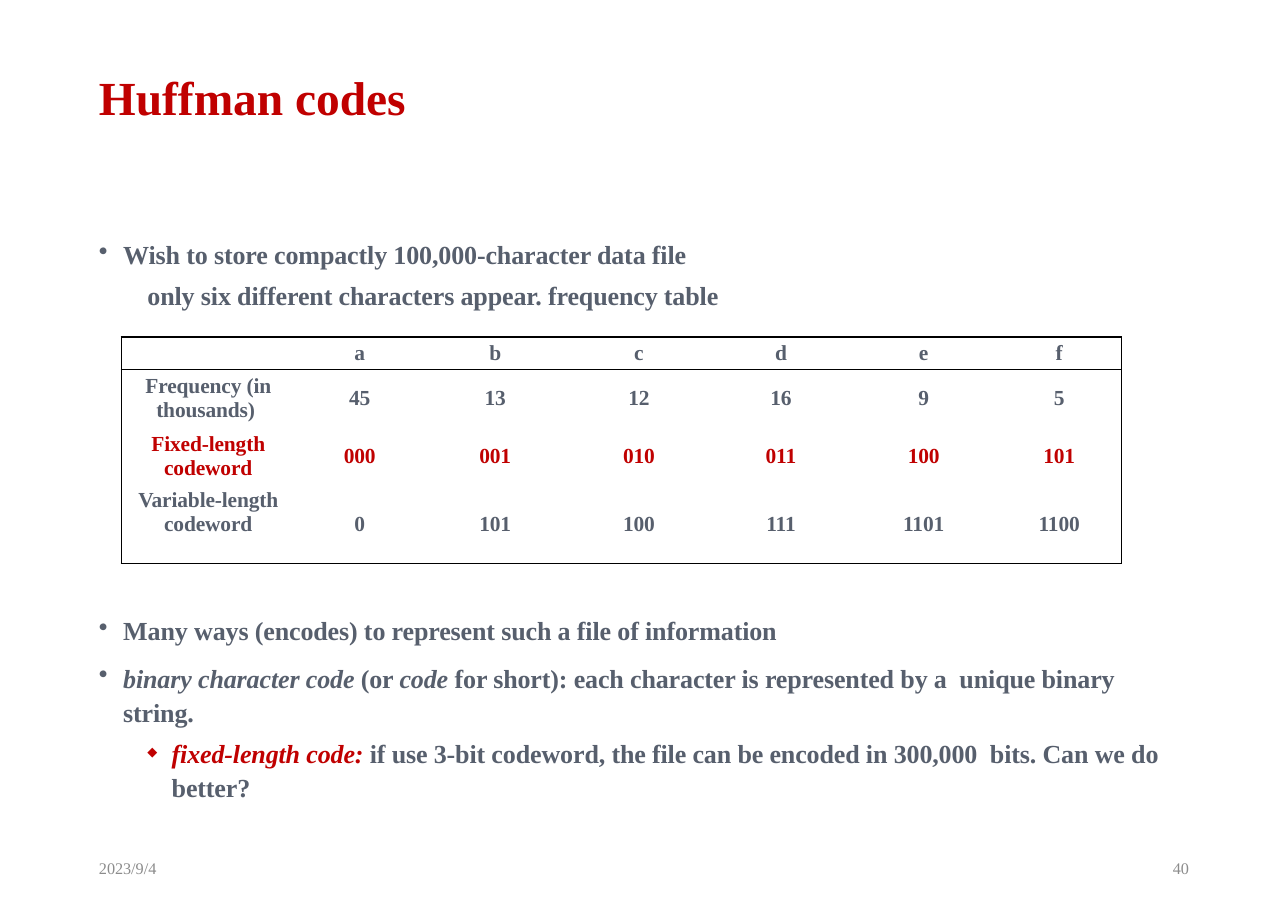
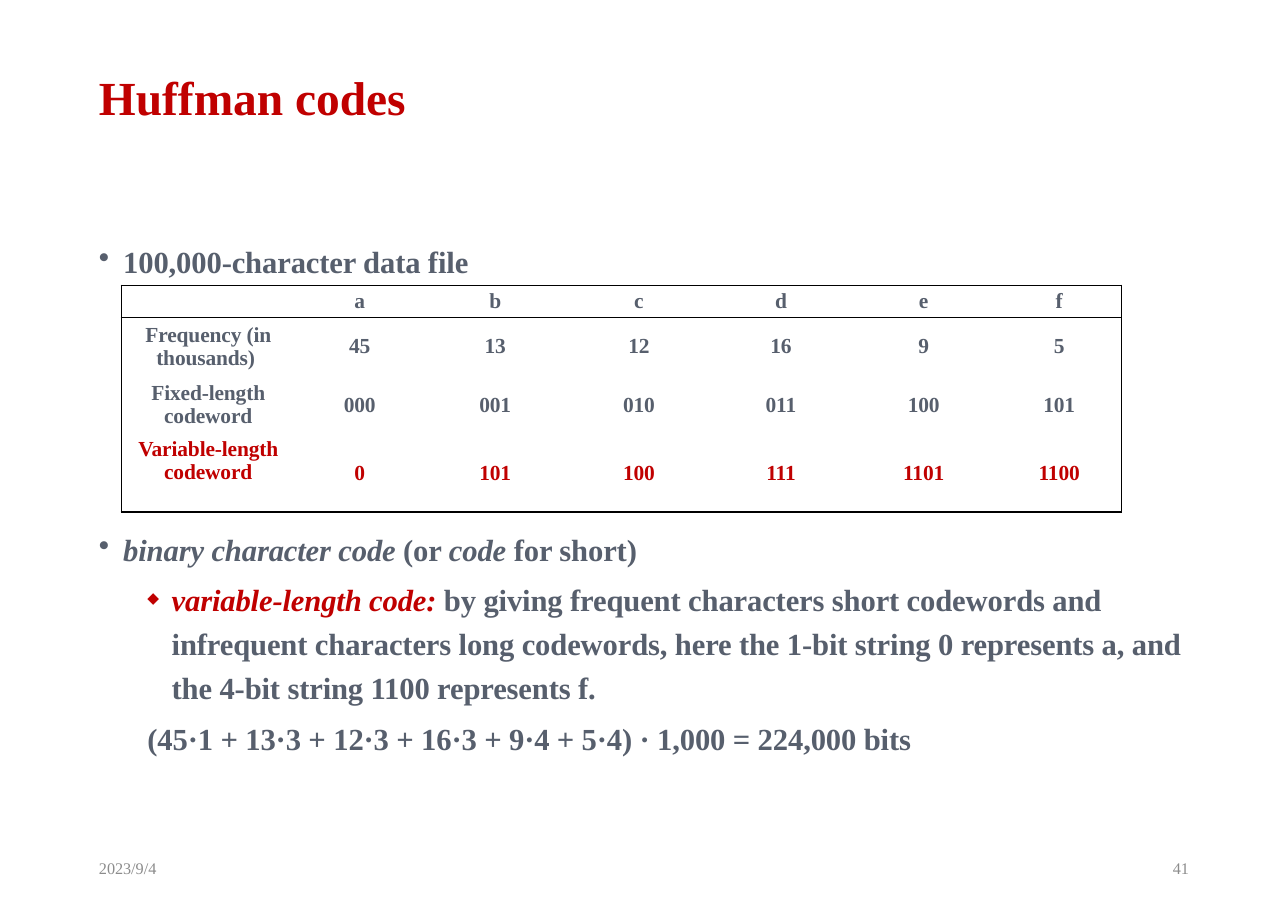
from lxml import etree
from pptx import Presentation
from pptx.dml.color import RGBColor
from pptx.enum.text import MSO_ANCHOR, PP_ALIGN
from pptx.oxml.ns import qn
from pptx.util import Pt

LEFT, CENTER, RIGHT = PP_ALIGN.LEFT, PP_ALIGN.CENTER, PP_ALIGN.RIGHT
TOP, MIDDLE = MSO_ANCHOR.TOP, MSO_ANCHOR.MIDDLE

PX = 9144
FONT = "Times New Roman"
RED, SLATE, GRAY = "C00000", "575F6D", "8C8C8C"
BLACK, WHITE = "000000", "FFFFFF"

# margin, indent, space before, bullet, bullet size in percent
DOT = (22, -22, 8.8, "•", 100)
GEM = (66, -22, 4.4, "◆", 50)
PLAIN = (44, 0, 4.4, None, 0)

COLS = (158, 117, 129, 132, 126, 133, 113)
ROWS = (28, 50, 50, 71)
CODES = (
    ("", "a", "b", "c", "d", "e", "f"),
    ("Frequency (in thousands) ", "45", "13", "12", "16", "9", "5"),
    ("Fixed-length codeword", "000", "001", "010", "011", "100", "101"),
    ("Variable-length codeword", "0", "101", "100", "111", "1101", "1100"),
)


def px(n):
    return round(n * PX)


def rgb(code):
    return RGBColor.from_string(code)


def edge(props, side, shown):
    """Draw or clear one border of a table cell."""
    line = etree.SubElement(props, qn("a:ln" + side), w=str(Pt(1)))
    if shown:
        fill = etree.SubElement(line, qn("a:solidFill"))
        etree.SubElement(fill, qn("a:srgbClr"), val=BLACK)
    else:
        etree.SubElement(line, qn("a:noFill"))


class Deck:
    def __init__(self):
        self.prs = Presentation()
        self.prs.slide_width, self.prs.slide_height = px(1169), px(827)
        self.slide = None

    def page(self, title, number):
        """Start a slide with its title and footer."""
        self.slide = self.prs.slides.add_slide(self.prs.slide_layouts[6])
        self.label(80, 766, 263, 44, "2023/9/4", 10.6, GRAY)
        self.label(826, 766, 263, 44, str(number), 10.6, GRAY, align=RIGHT)
        self.label(80, 26, 1002, 130, title, 31, RED, bold=True, space=0.9)

    def box(self, x, y, w, h, anchor):
        shape = self.slide.shapes.add_textbox(px(x), px(y), px(w), px(h))
        frame = shape.text_frame
        frame.word_wrap = True
        frame.vertical_anchor = anchor
        return frame

    def run(self, para, text, size, color, bold=True, italic=False, track=0):
        run = para.add_run()
        run.text = text
        font = run.font
        font.name, font.size = FONT, Pt(size)
        font.bold, font.italic = bold, italic
        font.color.rgb = rgb(color)
        if track:
            run._r.get_or_add_rPr().set("spc", str(track))

    def label(self, x, y, w, h, text, size, color, bold=False, align=LEFT, space=1.0):
        para = self.box(x, y, w, h, MIDDLE).paragraphs[0]
        para.alignment, para.line_spacing = align, space
        self.run(para, text, size, color, bold)

    def body(self, y, h, size, space, items):
        """Add list items, each a style followed by (text, color, italic) runs."""
        frame = self.box(80, y, 1002, h, TOP)
        for i, (style, *runs) in enumerate(items):
            para = frame.add_paragraph() if i else frame.paragraphs[0]
            margin, indent, before, mark, scale = style
            para.line_spacing, para.space_before = space, Pt(before)
            props = para._p.get_or_add_pPr()
            props.set("marL", str(px(margin)))
            props.set("indent", str(px(indent)))
            if mark:
                etree.SubElement(props, qn("a:buSzPct"), val=str(scale * 1000))
                etree.SubElement(props, qn("a:buChar"), char=mark)
            for text, color, italic in runs:
                self.run(para, text, size, color, italic=italic, track=-10)

    def table(self, y, hot):
        """Add the code table with row number hot in red."""
        shape = self.slide.shapes.add_table(
            len(ROWS), len(COLS), px(110), px(y), px(sum(COLS)), px(sum(ROWS)))
        grid = shape.table
        grid.first_row = grid.horz_banding = False
        for col, width in zip(grid.columns, COLS):
            col.width = px(width)
        for r, height in enumerate(ROWS):
            grid.rows[r].height = px(height)
            for c, text in enumerate(CODES[r]):
                self.cell(grid.cell(r, c), r, c, text, RED if r == hot else SLATE)

    def cell(self, cell, r, c, text, color):
        last = len(ROWS) - 1
        cell.margin_left = cell.margin_right = px(7)
        cell.margin_top = cell.margin_bottom = px(3)
        cell.vertical_anchor = TOP if (r, c) == (last, 0) else MIDDLE
        para = cell.text_frame.paragraphs[0]
        para.alignment = CENTER
        if text:
            self.run(para, text, 14, color, track=-10)
        else:
            etree.SubElement(para._p, qn("a:endParaRPr"), sz="1400")
        props = cell._tc.get_or_add_tcPr()
        edge(props, "L", c == 0)
        edge(props, "R", c == len(COLS) - 1)
        edge(props, "T", r in (0, 1))
        edge(props, "B", r in (0, last))
        cell.fill.solid()
        cell.fill.fore_color.rgb = rgb(WHITE)


def main():
    deck = Deck()
    term = (("binary character code ", SLATE, True), ("(or ", SLATE, False),
            ("code", SLATE, True))

    deck.page("Huffman codes", 40)
    deck.body(209, 90, 17, 1.1, [
        (DOT, ("Wish to store compactly 100,000-character data file", SLATE, False)),
        (PLAIN, ("only six different characters appear. frequency table", SLATE, False)),
    ])
    deck.table(306, hot=2)
    deck.body(550, 186, 17, 1.1, [
        (DOT, ("Many ways (encodes) to represent such a file of information",
               SLATE, False)),
        (DOT, *term, (" for short): each character is represented by a  unique "
                      "binary string.", SLATE, False)),
        (GEM, ("fixed-length code: ", RED, True),
         ("if use 3-bit codeword, the file can be encoded in 300,000  bits. "
          "Can we do better?", SLATE, False)),
    ])

    deck.page("Huffman codes", 41)
    deck.body(209, 50, 20, 1.2, [
        (DOT, ("100,000-character data file", SLATE, False)),
    ])
    deck.table(259, hot=3)
    deck.body(470, 266, 20, 1.2, [
        (DOT, *term, (" for short)", SLATE, False)),
        (GEM, ("variable-length code: ", RED, True),
         ("by giving frequent characters short codewords and infrequent "
          "characters long codewords, here the 1-bit string 0 represents a, "
          "and the 4-bit string 1100 represents f.", SLATE, False)),
        (PLAIN, ("(45·1 + 13·3 + 12·3 + 16·3 + 9·4 + 5·4) · 1,000 = 224,000 bits",
                 SLATE, False)),
    ])
    deck.prs.save("out.pptx")


if __name__ == "__main__":
    main()
